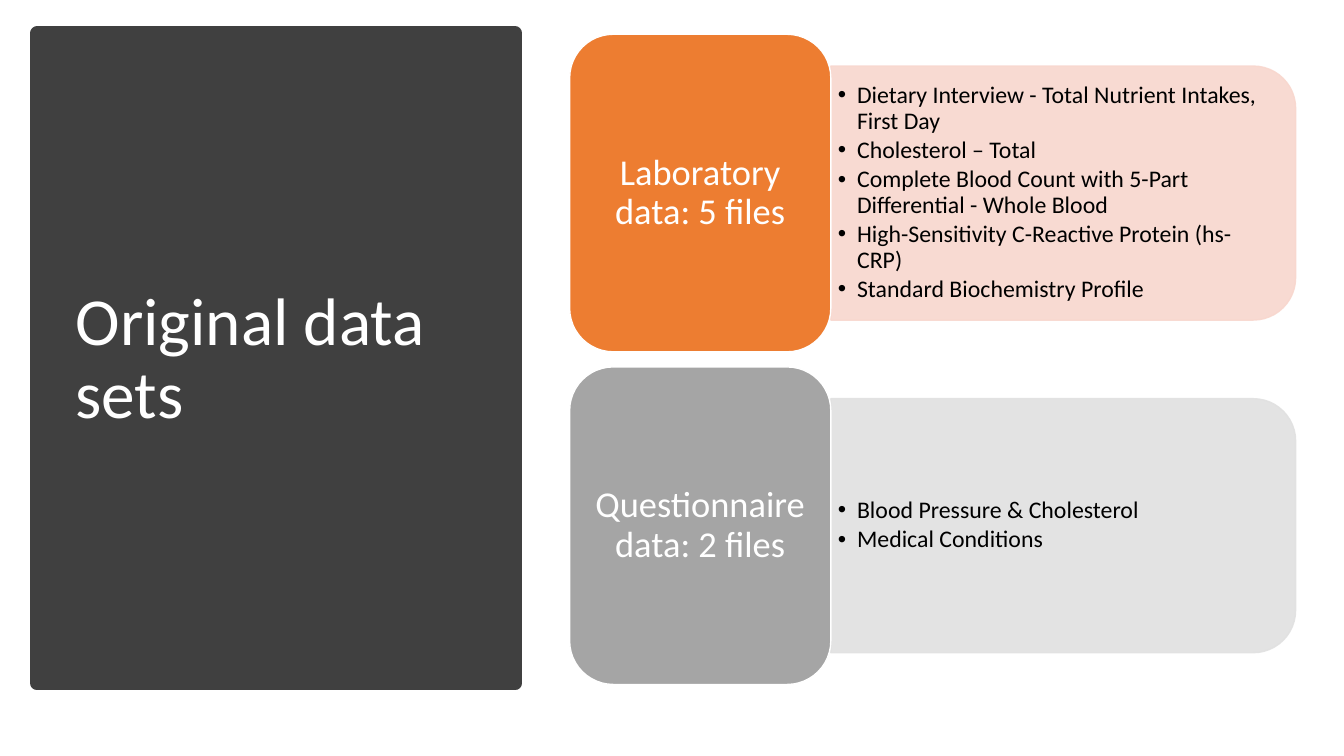
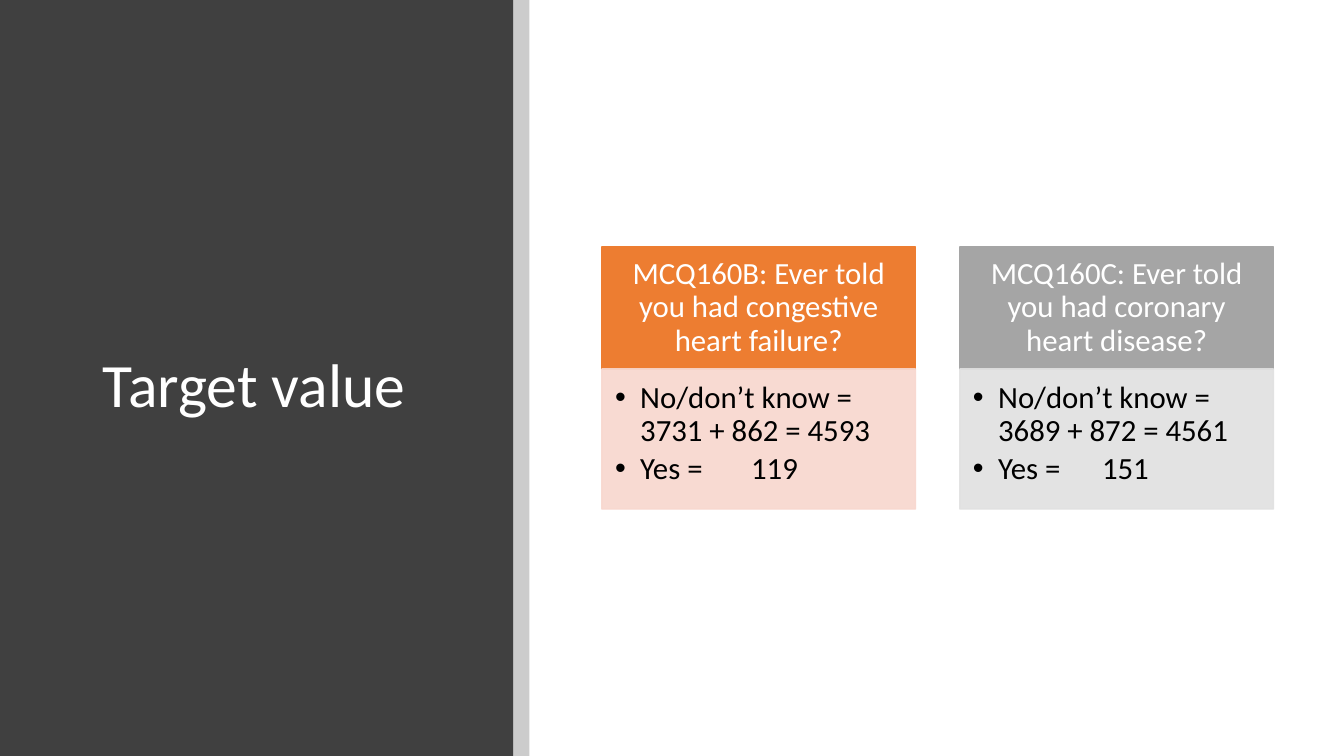
import pptx
import pptx.dml.color
import pptx.enum.shapes
import pptx.enum.text
import pptx.oxml.ns
import pptx.util
from lxml import etree

Inches = pptx.util.Inches
Pt = pptx.util.Pt
SHAPES = pptx.enum.shapes.MSO_SHAPE
ALIGN = pptx.enum.text.PP_ALIGN
ANCHOR = pptx.enum.text.MSO_ANCHOR
qn = pptx.oxml.ns.qn

FONT = "Calibri"
COLORS = {
    "panel": "404040",
    "white": "FFFFFF",
    "black": "000000",
    "orange": "ED7D31",
    "orange_tint": "F8D7CE",
    "gray": "A5A5A5",
    "gray_tint": "E1E1E1",
}


def rgb(name):
    return pptx.dml.color.RGBColor.from_string(COLORS[name])


def set_opacity(fill_parent, percent):
    color = fill_parent.find(qn("a:solidFill"))[0]
    etree.SubElement(color, qn("a:alpha")).set("val", str(percent * 1000))


def add_block(slide, kind, box, fill, line=None, line_width=1, opacity=100):
    block = slide.shapes.add_shape(kind, *map(Inches, box))
    block.shadow.inherit = False
    block.fill.solid()
    block.fill.fore_color.rgb = rgb(fill)
    if line:
        block.line.color.rgb = rgb(line)
        block.line.width = Pt(line_width)
    else:
        block.line.fill.background()
    if opacity < 100:
        properties = block.element.spPr
        set_opacity(properties, opacity)
        if line:
            set_opacity(properties.find(qn("a:ln")), opacity)
    return block


def prepare_frame(frame, insets, anchor):
    frame.word_wrap = True
    frame.auto_size = pptx.enum.text.MSO_AUTO_SIZE.NONE
    frame.vertical_anchor = anchor
    (frame.margin_left, frame.margin_top,
     frame.margin_right, frame.margin_bottom) = map(Inches, insets)


def style_paragraph(paragraph, size, color, align):
    paragraph.alignment = align
    paragraph.line_spacing = 0.9
    paragraph.font.name = FONT
    paragraph.font.size = Pt(size)
    paragraph.font.color.rgb = rgb(color)


def write_label(block, text, size, insets):
    prepare_frame(block.text_frame, insets, ANCHOR.MIDDLE)
    paragraph = block.text_frame.paragraphs[0]
    paragraph.text = text
    style_paragraph(paragraph, size, "white", ALIGN.CENTER)


def write_bullets(holder, items, size, indent, insets, anchor, tab=None):
    frame = holder.text_frame
    prepare_frame(frame, insets, anchor)
    for index, item in enumerate(items):
        paragraph = frame.paragraphs[0] if index == 0 else frame.add_paragraph()
        paragraph.text = item
        properties = paragraph._p.get_or_add_pPr()
        properties.set("marL", str(Inches(indent)))
        properties.set("indent", str(-Inches(indent)))
        etree.SubElement(properties, qn("a:buFont")).set("typeface", "Arial")
        etree.SubElement(properties, qn("a:buChar")).set("char", "•")
        if tab:
            tabs = etree.SubElement(properties, qn("a:tabLst"))
            etree.SubElement(tabs, qn("a:tab"), pos=str(Inches(tab)), algn="l")
        style_paragraph(paragraph, size, "black", ALIGN.LEFT)
        paragraph.space_after = Pt(round(size * 0.15, 1))


def add_titled_slide(deck, text, size, title_box, panel_box, outline=None):
    slide = deck.slides.add_slide(deck.slide_layouts[5])
    title = slide.shapes.title
    panel = add_block(slide, SHAPES.RECTANGLE, panel_box, "panel", outline, 10)
    title.element.addprevious(panel.element)
    title.left, title.top, title.width, title.height = map(Inches, title_box)
    title.text = text
    prepare_frame(title.text_frame, (0.1, 0.05, 0.1, 0.05), ANCHOR.MIDDLE)
    style_paragraph(title.text_frame.paragraphs[0], size, "white", ALIGN.LEFT)
    return slide


def add_data_row(slide, box, color, label, items):
    left, top, width, height = box
    label_width = 2.59
    list_left, list_width, list_height = left + label_width, width - label_width, height * 0.8
    list_top = top + (height - list_height) / 2
    upright_left = list_left + (list_width - list_height) / 2
    upright_top = list_top + (list_height - list_width) / 2
    tint = color + "_tint"
    backing = add_block(slide, SHAPES.ROUND_2_SAME_RECTANGLE,
                        (upright_left, upright_top, list_height, list_width),
                        tint, tint, opacity=90)
    backing.rotation = 90
    files = slide.shapes.add_textbox(*map(Inches, (
        list_left, list_top + 0.12, list_width - 0.12, list_height - 0.24)))
    write_bullets(files, items, 17, 0.19, (0.07, 0.04, 0.07, 0.04), ANCHOR.MIDDLE)
    heading = add_block(slide, SHAPES.ROUNDED_RECTANGLE,
                        (left, top, label_width, height), color, "white")
    write_label(heading, label, 26, (0.11, 0.05, 0.11, 0.05))


def add_question_card(slide, box, color, question, answers, tab):
    left, top, width, height = box
    heading_height = 1.21
    heading = add_block(slide, SHAPES.RECTANGLE,
                        (left, top, width, heading_height), color, color)
    write_label(heading, question, 22, (0.17, 0.1, 0.17, 0.1))
    tint = color + "_tint"
    counts = add_block(slide, SHAPES.RECTANGLE,
                       (left, top + heading_height, width, height - heading_height),
                       tint, tint, opacity=90)
    write_bullets(counts, answers, 22, 0.25, (0.13, 0.13, 0.17, 0.19), ANCHOR.TOP, tab)


def build_data_sets(deck):
    slide = add_titled_slide(deck, "Original data sets", 48, (0.65, 0.7, 4.16, 5.75),
                             (0.37, 0.33, 4.74, 6.45), "panel")
    rows = [
        ("orange", "Laboratory data: 5 files", [
            "Dietary Interview - Total Nutrient Intakes, First Day",
            "Cholesterol – Total",
            "Complete Blood Count with 5-Part Differential - Whole Blood",
            "High-Sensitivity C-Reactive Protein (hs-CRP)",
            "Standard Biochemistry Profile",
        ]),
        ("gray", "Questionnaire data: 2 files", [
            "Blood Pressure & Cholesterol",
            "Medical Conditions",
        ]),
    ]
    height, gap = 3.15, 0.15
    for index, (color, label, items) in enumerate(rows):
        top = 0.34 + index * (height + gap)
        add_data_row(slide, (5.65, top, 7.2, height), color, label, items)


def build_target_value(deck):
    slide = add_titled_slide(deck, "Target value", 44, (0.92, 0.89, 3.65, 5.91),
                             (0, 0, 5.09, 7.5))
    add_block(slide, SHAPES.RECTANGLE, (5.09, 0, 0.16, 7.5), "black", opacity=20)
    cards = [
        ("orange", "MCQ160B: Ever told you had congestive heart failure?",
         ["No/don’t know = 3731 + 862 = 4593", "Yes =\t119"], 1.35),
        ("gray", "MCQ160C: Ever told you had coronary heart disease?",
         ["No/don’t know = 3689 + 872 = 4561", "Yes =\t151"], 1.28),
    ]
    width, gap = 3.11, 0.44
    for index, (color, question, answers, tab) in enumerate(cards):
        left = 5.97 + index * (width + gap)
        add_question_card(slide, (left, 2.45, width, 2.6), color, question, answers, tab)


def main():
    deck = pptx.Presentation()
    deck.slide_width, deck.slide_height = Inches(13.33), Inches(7.5)
    build_data_sets(deck)
    build_target_value(deck)
    deck.save("out.pptx")


if __name__ == "__main__":
    main()
